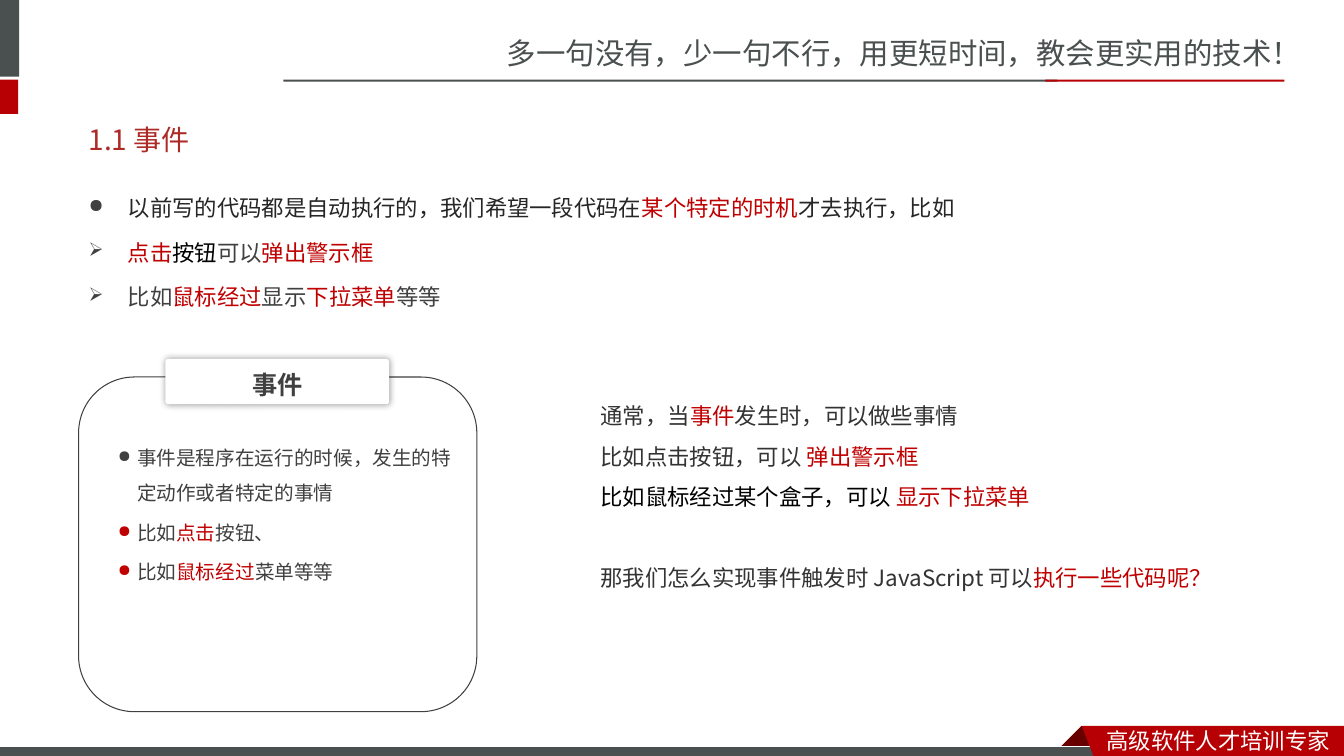
"""Build the slide that introduces events in JavaScript."""
from dataclasses import dataclass

from lxml.etree import SubElement
from pptx import Presentation
from pptx.dml.color import RGBColor
from pptx.enum.shapes import MSO_SHAPE as Preset
from pptx.enum.text import MSO_ANCHOR as Anchor, PP_ALIGN as Align
from pptx.oxml import parse_xml
from pptx.oxml.ns import nsdecls, qn
from pptx.util import Emu, Inches, Pt

WIDTH, HEIGHT = Inches(13.33), Inches(7.5)


@dataclass(frozen=True)
class Theme:
    slate: str = "49504F"
    brand: str = "B60004"
    fold: str = "680000"
    heading: str = "AD2A26"
    accent: str = "C00000"
    text: str = "404040"
    dark: str = "262626"
    prose: str = "333333"
    black: str = "000000"
    white: str = "FFFFFF"
    font: str = "Noto Sans CJK JP"
    banner_font: str = "Noto Sans CJK SC"
    slogan_size: float = 21
    title_size: float = 20
    badge_size: float = 18
    body_size: float = 16
    card_size: float = 14


THEME = Theme()


@dataclass(frozen=True)
class Area:
    """Position and size as percentages of the slide."""
    left: float
    top: float
    width: float
    height: float

    def box(self) -> tuple[Emu, Emu, Emu, Emu]:
        return across(self.left), down(self.top), across(self.width), down(self.height)


@dataclass(frozen=True)
class Bullet:
    mark: str
    indent: float
    color: str = THEME.text


@dataclass(frozen=True)
class Line:
    runs: tuple[tuple[str, str], ...]
    bullet: Bullet | None = None
    before: float = 0


@dataclass(frozen=True)
class TextBlock:
    area: Area
    size: float
    lines: tuple[Line, ...]
    leading: float | None = None
    font: str = THEME.font
    bold: bool = False
    anchor: Anchor = Anchor.TOP
    align: Align = Align.LEFT


@dataclass(frozen=True)
class Panel:
    area: Area
    fill: str | None
    line: str | None = None
    preset: Preset = Preset.RECTANGLE
    corner: float | None = None
    glow: bool = False


@dataclass(frozen=True)
class Outline:
    points: tuple[tuple[float, float], ...]
    fill: str


def across(percent: float) -> Emu:
    return Emu(round(WIDTH * percent / 100))


def down(percent: float) -> Emu:
    return Emu(round(HEIGHT * percent / 100))


def paint(shape, fill: str | None, line: str | None = None) -> None:
    shape.shadow.inherit = False
    if fill:
        shape.fill.solid()
        shape.fill.fore_color.rgb = RGBColor.from_string(fill)
    else:
        shape.fill.background()
    if line:
        shape.line.color.rgb = RGBColor.from_string(line)
        shape.line.width = Pt(0.75)
    else:
        shape.line.fill.background()


def draw_panel(slide, panel: Panel) -> None:
    shape = slide.shapes.add_shape(panel.preset, *panel.area.box())
    paint(shape, panel.fill, panel.line)
    if panel.corner is not None:
        shape.adjustments[0] = panel.corner
    if panel.glow:
        effects = shape._element.spPr.find(qn("a:effectLst"))
        effects.append(parse_xml(
            f'<a:outerShdw {nsdecls("a")} blurRad="{Pt(5)}" dist="0" dir="0">'
            f'<a:srgbClr val="{THEME.black}"><a:alpha val="40000"/></a:srgbClr></a:outerShdw>'))


def draw_outline(slide, outline: Outline) -> None:
    start, *rest = [(across(x), down(y)) for x, y in outline.points]
    builder = slide.shapes.build_freeform(*start, scale=1.0)
    builder.add_line_segments(rest, close=True)
    paint(builder.convert_to_shape(), outline.fill)


def add_bullet(paragraph, bullet: Bullet) -> None:
    properties = paragraph._p.get_or_add_pPr()
    indent = Inches(bullet.indent)
    properties.set("marL", str(indent))
    properties.set("indent", str(-indent))
    defaults = properties.find(qn("a:defRPr"))
    for markup in (
        f'<a:buClr {nsdecls("a")}><a:srgbClr val="{bullet.color}"/></a:buClr>',
        f'<a:buSzPct {nsdecls("a")} val="85000"/>',
        f'<a:buChar {nsdecls("a")} char="{bullet.mark}"/>',
    ):
        defaults.addprevious(parse_xml(markup))


def draw_text(slide, block: TextBlock) -> None:
    frame = slide.shapes.add_textbox(*block.area.box()).text_frame
    frame.word_wrap = True
    frame.vertical_anchor = block.anchor
    for index, line in enumerate(block.lines):
        paragraph = frame.add_paragraph() if index else frame.paragraphs[0]
        paragraph.alignment = block.align
        paragraph.space_before = Pt(line.before)
        if block.leading:
            paragraph.line_spacing = Pt(block.size * block.leading)
        paragraph.font.size = Pt(block.size)
        paragraph.font.bold = block.bold
        paragraph.font.name = block.font
        defaults = paragraph._p.pPr.find(qn("a:defRPr"))
        SubElement(defaults, qn("a:ea")).set("typeface", block.font)
        if line.bullet:
            add_bullet(paragraph, line.bullet)
        for text, color in line.runs:
            run = paragraph.add_run()
            run.text = text
            run.font.color.rgb = RGBColor.from_string(color)


T = THEME
DOT, ARROW = Bullet("●", 0.39), Bullet("➢", 0.39)
CARD_DOT, CARD_RED_DOT = Bullet("●", 0.19), Bullet("●", 0.19, T.accent)
BODY_GAP, CARD_GAP = T.body_size * 0.2, T.card_size * 0.2
LEADING, BANNER_LEADING = 1.8, 1.25

ITEMS = (
    TextBlock(Area(36.98, 3.73, 63.02, 6.27), T.slogan_size, (
        Line((("多一句没有，少一句不行，用更短时间，教会更实用的技术！", T.slate),)),
    ), BANNER_LEADING, T.banner_font),
    Panel(Area(-0.45, 0, 1.88, 10.13), T.slate),
    Panel(Area(-0.45, 10.53, 1.8, 4.53), T.brand),
    Panel(Area(21.08, 10.53, 57.6, 0.27), T.slate),
    Panel(Area(77.78, 10.53, 17.78, 0.27), T.brand),
    Outline(((80.48, 96), (82.13, 98.93), (82.05, 99.07), (78.9, 99.07), (78.83, 98.93)), T.fold),
    Panel(Area(-0.08, 98.8, 82.5, 1.6), T.slate, T.white),
    Outline(((80.48, 96), (100, 96), (100, 100.53), (81.45, 100.4)), T.brand),
    TextBlock(Area(81.6, 95.33, 18.4, 4.93), T.body_size, (
        Line((("高级软件人才培训专家", T.white),)),
    ), BANNER_LEADING, T.banner_font),
    TextBlock(Area(5.85, 14.67, 88.13, 7.6), T.title_size, (
        Line((("1.1 事件", T.heading),)),
    ), anchor=Anchor.MIDDLE),
    TextBlock(Area(5.85, 23.2, 87.9, 66.4), T.body_size, (
        Line((("以前写的代码都是自动执行的，我们希望一段代码在", T.dark), ("某个特定的时机", T.accent),
              ("才去执行，比如", T.dark)), DOT, BODY_GAP),
        Line((("点击", T.accent), ("按钮", T.black), ("可以", T.text),
              ("弹出警示框", T.accent)), ARROW, BODY_GAP),
        Line((("比如", T.text), ("鼠标经过", T.accent), ("显示", T.text),
              ("下拉菜单", T.accent), ("等等", T.text)), ARROW, BODY_GAP),
    ), LEADING),
    Panel(Area(5.85, 49.87, 29.63, 44.27), None, T.text, Preset.ROUNDED_RECTANGLE),
    Panel(Area(12.3, 47.47, 16.65, 6), T.white, None, Preset.ROUNDED_RECTANGLE, 0.07, True),
    TextBlock(Area(13.58, 48.67, 14.18, 4.4), T.badge_size, (
        Line((("事件", T.text),)),
    ), bold=True, anchor=Anchor.MIDDLE, align=Align.CENTER),
    TextBlock(Area(8.03, 56.8, 26.55, 30.27), T.card_size, (
        Line((("事件是程序在运行的时候，发生的特定动作或者特定的事情", T.text),), CARD_DOT, CARD_GAP),
        Line((("比如", T.text), ("点击", T.accent), ("按钮、", T.text)), CARD_RED_DOT, CARD_GAP),
        Line((("比如", T.text), ("鼠标经过", T.accent), ("菜单等等", T.text)), CARD_RED_DOT, CARD_GAP),
    ), LEADING),
    TextBlock(Area(43.95, 50.8, 50.03, 28.27), T.body_size, (
        Line((("通常，当", T.prose), ("事件", T.accent), ("发生时，可以做些事情", T.prose))),
        Line((("比如点击按钮，可以 ", T.prose), ("弹出警示框", T.accent))),
        Line((("比如鼠标经过某个盒子，可以 ", T.black), ("显示下拉菜单", T.accent))),
        Line((("那我们怎么实现事件触发时 JavaScript 可以", T.prose), ("执行一些代码呢？", T.accent)),
             before=T.body_size * LEADING),
    ), LEADING),
)


def main() -> None:
    presentation = Presentation()
    presentation.slide_width, presentation.slide_height = WIDTH, HEIGHT
    slide = presentation.slides.add_slide(presentation.slide_layouts[6])
    painters = {Panel: draw_panel, Outline: draw_outline, TextBlock: draw_text}
    for item in ITEMS:
        painters[type(item)](slide, item)
    presentation.save("out.pptx")


if __name__ == "__main__":
    main()
